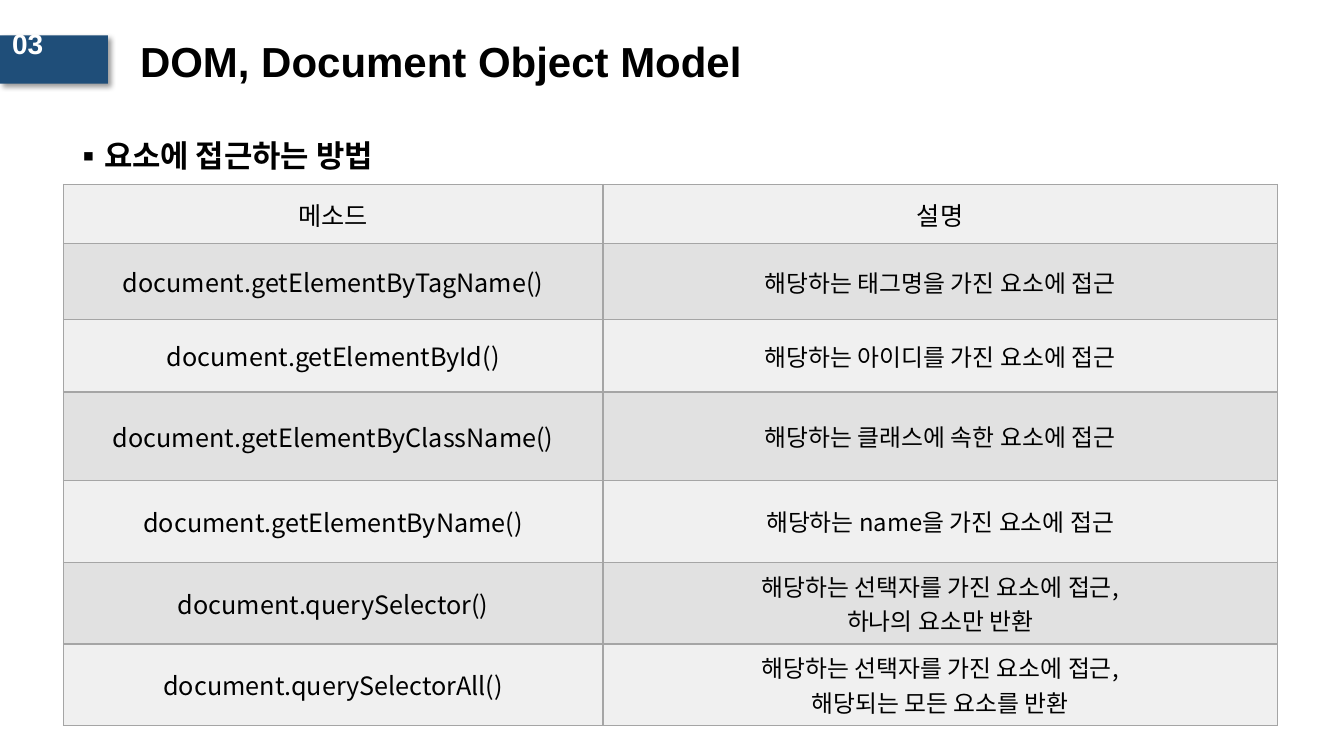
from lxml import etree
from pptx import Presentation
from pptx.dml.color import RGBColor
from pptx.enum.shapes import MSO_SHAPE
from pptx.enum.text import MSO_ANCHOR, PP_ALIGN
from pptx.oxml import parse_xml
from pptx.oxml.ns import nsdecls, qn
from pptx.util import Inches, Pt

# Content
NUMBER = "03"
TITLE = "DOM, Document Object Model"
HEADING = "요소에 접근하는 방법"
HEADER = ("메소드", ["설명"])
METHODS = [
    ("document.getElementByTagName()", ["해당하는 태그명을 가진 요소에 접근"]),
    ("document.getElementById()", ["해당하는 아이디를 가진 요소에 접근"]),
    ("document.getElementByClassName()", ["해당하는 클래스에 속한 요소에 접근"]),
    ("document.getElementByName()", ["해당하는 name을 가진 요소에 접근"]),
    ("document.querySelector()",
     ["해당하는 선택자를 가진 요소에 접근,", "하나의 요소만 반환"]),
    ("document.querySelectorAll()",
     ["해당하는 선택자를 가진 요소에 접근,", "해당되는 모든 요소를 반환"]),
]
COL_WIDTHS = [5.35, 6.69]
ROW_HEIGHTS = [0.59, 0.75, 0.72, 0.88, 0.81, 0.81, 0.81]

# Style
BLACK = RGBColor(0x00, 0x00, 0x00)
WHITE = RGBColor(0xFF, 0xFF, 0xFF)
NAVY = RGBColor(0x1F, 0x4E, 0x79)
BANDS = [RGBColor(0xF0, 0xF0, 0xF0), RGBColor(0xE1, 0xE1, 0xE1)]
BORDER = "A5A5A5"
HEAD_FONT, BODY_FONT = "Arial", "Noto Sans CJK KR"


def add_run(p, text, size, font, color=BLACK, bold=False):
    r = p.add_run()
    r.text = text
    r.font.size, r.font.name, r.font.bold = Pt(size), font, bold
    r.font.color.rgb = color
    east_asian = etree.SubElement(r.font._element, qn("a:ea"))
    east_asian.set("typeface", BODY_FONT)


def add_text(s, box, text, size, spacing, anchor):
    tf = s.shapes.add_textbox(*map(Inches, box)).text_frame
    tf.word_wrap = True
    tf.vertical_anchor = anchor
    p = tf.paragraphs[0]
    p.line_spacing = spacing
    add_run(p, text, size, HEAD_FONT, bold=True)
    return p


def fill_cell(cell, lines, size, color):
    cell.fill.solid()
    cell.fill.fore_color.rgb = color
    cell.vertical_anchor = MSO_ANCHOR.MIDDLE
    tf = cell.text_frame
    for i, line in enumerate(lines):
        p = tf.add_paragraph() if i else tf.paragraphs[0]
        p.alignment = PP_ALIGN.CENTER
        add_run(p, line, size, BODY_FONT)
    tc_pr = cell._tc.get_or_add_tcPr()
    for i, side in enumerate(("lnL", "lnR", "lnT", "lnB")):
        tc_pr.insert(i, parse_xml(
            f'<a:{side} {nsdecls("a")} w="12700"><a:solidFill>'
            f'<a:srgbClr val="{BORDER}"/></a:solidFill></a:{side}>'))


prs = Presentation()
prs.slide_width, prs.slide_height = Inches(13.33), Inches(7.5)
s = prs.slides.add_slide(prs.slide_layouts[6])

# Title
add_text(s, (1.29, 0.29, 6.58, 0.69), TITLE, 30, 0.9, MSO_ANCHOR.MIDDLE)

# Section number, raised over the top edge of its tab
tab = s.shapes.add_shape(MSO_SHAPE.RECTANGLE, *map(Inches, (0, 0.35, 1.07, 0.48)))
tab.shadow.inherit = False
tab.fill.solid()
tab.fill.fore_color.rgb = NAVY
tab.line.fill.background()
tab._element.spPr.find(qn("a:effectLst")).append(parse_xml(
    f'<a:outerShdw {nsdecls("a")} blurRad="50800" dist="38100" dir="2700000" '
    'algn="tl" rotWithShape="0"><a:srgbClr val="000000">'
    '<a:alpha val="40000"/></a:srgbClr></a:outerShdw>'))
tf = tab.text_frame
tf.vertical_anchor = MSO_ANCHOR.MIDDLE
tf.margin_left, tf.margin_top, tf.margin_bottom = Inches(0.12), 0, Inches(0.32)
p = tf.paragraphs[0]
p.alignment = PP_ALIGN.LEFT
add_run(p, NUMBER, 20, HEAD_FONT, WHITE, True)

# Bulleted heading
p = add_text(s, (0.63, 1.12, 10.46, 0.61), HEADING, 22, 1.5, MSO_ANCHOR.TOP)
p_pr = p._p.get_or_add_pPr()
indent = Inches(0.19)
p_pr.set("marL", str(indent))
p_pr.set("indent", str(-indent))
etree.SubElement(p_pr, qn("a:buFont")).set("typeface", BODY_FONT)
etree.SubElement(p_pr, qn("a:buChar")).set("char", "▪")

# Method table
rows = [HEADER] + METHODS
table = s.shapes.add_table(
    len(rows), len(COL_WIDTHS), Inches(0.63), Inches(1.83),
    Inches(sum(COL_WIDTHS)), Inches(sum(ROW_HEIGHTS))).table
for column, width in zip(table.columns, COL_WIDTHS):
    column.width = Inches(width)
for i, (method, description) in enumerate(rows):
    table.rows[i].height = Inches(ROW_HEIGHTS[i])
    band = BANDS[i % 2]
    fill_cell(table.cell(i, 0), [method], 18, band)
    fill_cell(table.cell(i, 1), description, 17 if i else 18, band)

prs.save("out.pptx")
